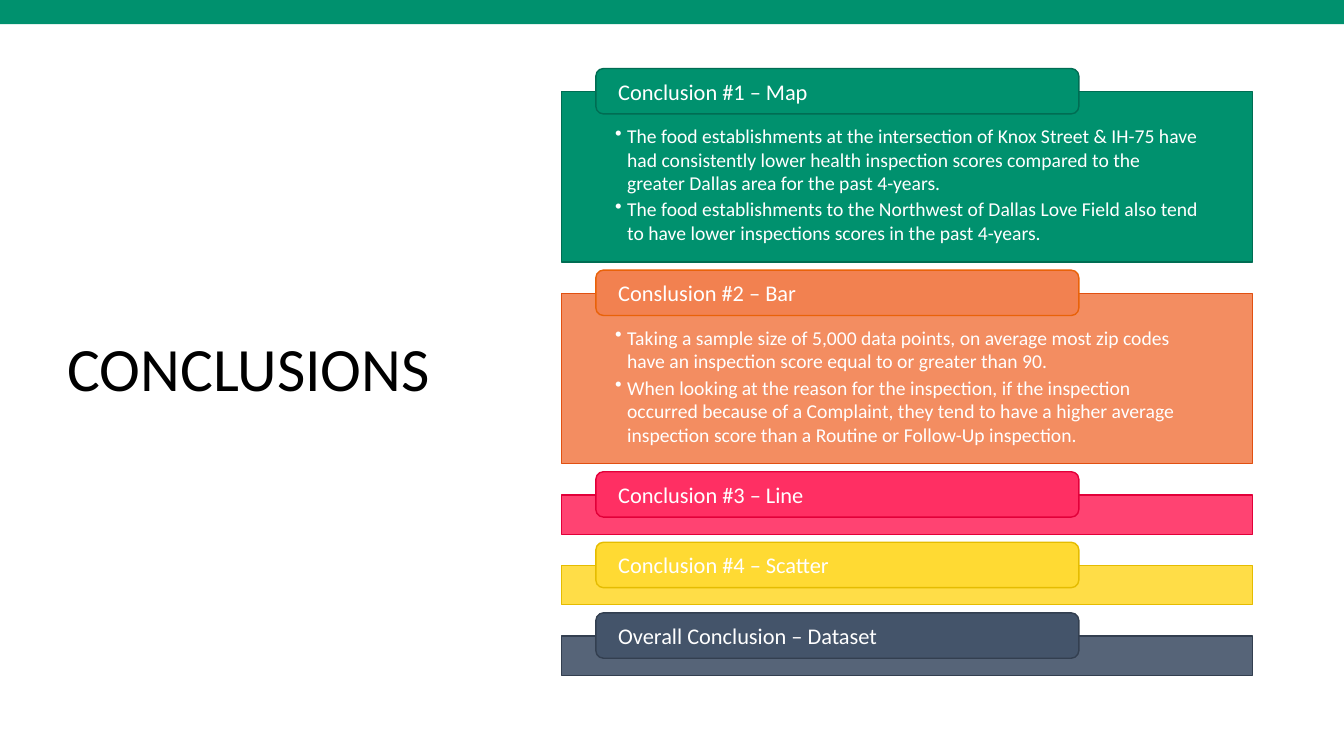
from dataclasses import dataclass

import pptx
import pptx.util
import pptx.dml.color
import pptx.enum.shapes
import pptx.enum.text
import pptx.oxml.ns
import pptx.shapes.autoshape
import pptx.slide
import lxml.etree

Inches = pptx.util.Inches
RGBColor = pptx.dml.color.RGBColor
SHAPES = pptx.enum.shapes.MSO_SHAPE
ANCHOR = pptx.enum.text.MSO_ANCHOR

WHITE = RGBColor(0xFF, 0xFF, 0xFF)
BLACK = RGBColor(0x00, 0x00, 0x00)
GREEN = RGBColor(0x00, 0x91, 0x6E)
DARK_GREEN = RGBColor(0x00, 0x6D, 0x53)
ORANGE = RGBColor(0xF2, 0x81, 0x50)
DARK_ORANGE = RGBColor(0xE1, 0x50, 0x11)
LABEL_ORANGE = RGBColor(0xE9, 0x62, 0x09)
PINK = RGBColor(0xFF, 0x2F, 0x63)
DARK_PINK = RGBColor(0xE2, 0x00, 0x39)
YELLOW = RGBColor(0xFF, 0xDA, 0x33)
DARK_YELLOW = RGBColor(0xE5, 0xBC, 0x00)
SLATE = RGBColor(0x44, 0x54, 0x6A)
DARK_SLATE = RGBColor(0x33, 0x3F, 0x50)

FONT = "Calibri"
SLIDE_WIDTH = Inches(13.33)
BODY_LEFT, BODY_WIDTH = Inches(5.57), Inches(6.85)
LABEL_LEFT, LABEL_WIDTH, LABEL_HEIGHT = Inches(5.91), Inches(4.79), Inches(0.45)
LABEL_RISE = Inches(0.23)
FIRST_BODY_TOP = Inches(0.91)
BODY_GAP = Inches(0.31)
FULL_HEIGHT, EMPTY_HEIGHT = Inches(1.69), Inches(0.39)
BULLET_INDENT = Inches(0.12)


@dataclass(frozen=True)
class Conclusion:
    label: str
    fill: RGBColor
    body_line: RGBColor
    label_line: RGBColor
    opacity: int = 90
    points: tuple[str, ...] = ()


CONCLUSIONS = (
    Conclusion("Conclusion #1 – Map", GREEN, DARK_GREEN, DARK_GREEN, 100, (
        "The food establishments at the intersection of Knox Street & IH-75 have had "
        "consistently lower health inspection scores compared to the greater Dallas area "
        "for the past 4-years.",
        "The food establishments to the Northwest of Dallas Love Field also tend to have "
        "lower inspections scores in the past 4-years.",
    )),
    Conclusion("Conslusion #2 – Bar", ORANGE, DARK_ORANGE, LABEL_ORANGE, points=(
        "Taking a sample size of 5,000 data points, on average most zip codes have an "
        "inspection score equal to or greater than 90.",
        "When looking at the reason for the inspection, if the inspection occurred because "
        "of a Complaint, they tend to have a higher average inspection score than a Routine "
        "or Follow-Up inspection.",
    )),
    Conclusion("Conclusion #3 – Line", PINK, DARK_PINK, DARK_PINK),
    Conclusion("Conclusion #4 – Scatter", YELLOW, DARK_YELLOW, DARK_YELLOW),
    Conclusion("Overall Conclusion – Dataset", SLATE, DARK_SLATE, DARK_SLATE),
)


def write_text(shape: pptx.shapes.autoshape.Shape, *texts: str, size: int,
               color: RGBColor = WHITE, anchor: ANCHOR = ANCHOR.MIDDLE,
               insets: tuple[float, float] = (0.1, 0.05), bottom: float = 0.05,
               bulleted: bool = False, line_spacing: float = 1.0) -> None:
    frame = shape.text_frame
    frame.word_wrap = True
    frame.vertical_anchor = anchor
    frame.margin_left = frame.margin_right = Inches(insets[0])
    frame.margin_top, frame.margin_bottom = Inches(insets[1]), Inches(bottom)
    for index, text in enumerate(texts):
        paragraph = frame.paragraphs[0] if index == 0 else frame.add_paragraph()
        paragraph.alignment = pptx.enum.text.PP_ALIGN.LEFT
        paragraph.line_spacing = line_spacing
        run = paragraph.add_run()
        run.text = text
        run.font.name = FONT
        run.font.size = pptx.util.Pt(size)
        run.font.color.rgb = color
        if bulleted:
            paragraph.level = 1
            paragraph.space_after = pptx.util.Pt(2)
            properties = paragraph._p.get_or_add_pPr()
            properties.set("marL", str(BULLET_INDENT))
            properties.set("indent", str(-BULLET_INDENT))
            bullet = lxml.etree.SubElement(properties, pptx.oxml.ns.qn("a:buChar"))
            bullet.set("char", "•")


def add_box(slide: pptx.slide.Slide, kind: SHAPES, left: int, top: int, width: int,
            height: int, fill: RGBColor, line: RGBColor | None = None,
            opacity: int = 100) -> pptx.shapes.autoshape.Shape:
    shape = slide.shapes.add_shape(kind, left, top, width, height)
    shape.shadow.inherit = False
    shape.fill.solid()
    shape.fill.fore_color.rgb = fill
    if opacity < 100:
        color = shape._element.spPr.find(".//" + pptx.oxml.ns.qn("a:srgbClr"))
        alpha = lxml.etree.SubElement(color, pptx.oxml.ns.qn("a:alpha"))
        alpha.set("val", str(opacity * 1000))
    if line is None:
        shape.line.fill.background()
    else:
        shape.line.color.rgb = line
        shape.line.width = pptx.util.Pt(1)
    return shape


def add_conclusion(slide: pptx.slide.Slide, conclusion: Conclusion, top: int) -> int:
    height = FULL_HEIGHT if conclusion.points else EMPTY_HEIGHT
    body = add_box(slide, SHAPES.RECTANGLE, BODY_LEFT, top, BODY_WIDTH, height,
                   conclusion.fill, conclusion.body_line, conclusion.opacity)
    if conclusion.points:
        write_text(body, *conclusion.points, size=14, anchor=ANCHOR.TOP,
                   insets=(0.53, 0.32), bottom=0.11, bulleted=True)
    label = add_box(slide, SHAPES.ROUNDED_RECTANGLE, LABEL_LEFT, top - LABEL_RISE,
                    LABEL_WIDTH, LABEL_HEIGHT, conclusion.fill, conclusion.label_line)
    write_text(label, conclusion.label, size=16, insets=(0.2, 0), bottom=0)
    return top + height + BODY_GAP


presentation = pptx.Presentation()
presentation.slide_width = SLIDE_WIDTH
presentation.slide_height = Inches(7.5)
slide = presentation.slides.add_slide(presentation.slide_layouts[6])

title = slide.shapes.add_textbox(Inches(0.57), Inches(0.68), Inches(4.16), Inches(6.02))
write_text(title, "CONCLUSIONS", size=44, color=BLACK, line_spacing=0.9)

body_top = FIRST_BODY_TOP
for conclusion in CONCLUSIONS:
    body_top = add_conclusion(slide, conclusion, body_top)

add_box(slide, SHAPES.RECTANGLE, 0, 0, SLIDE_WIDTH, Inches(0.24), GREEN)

presentation.save("out.pptx")
